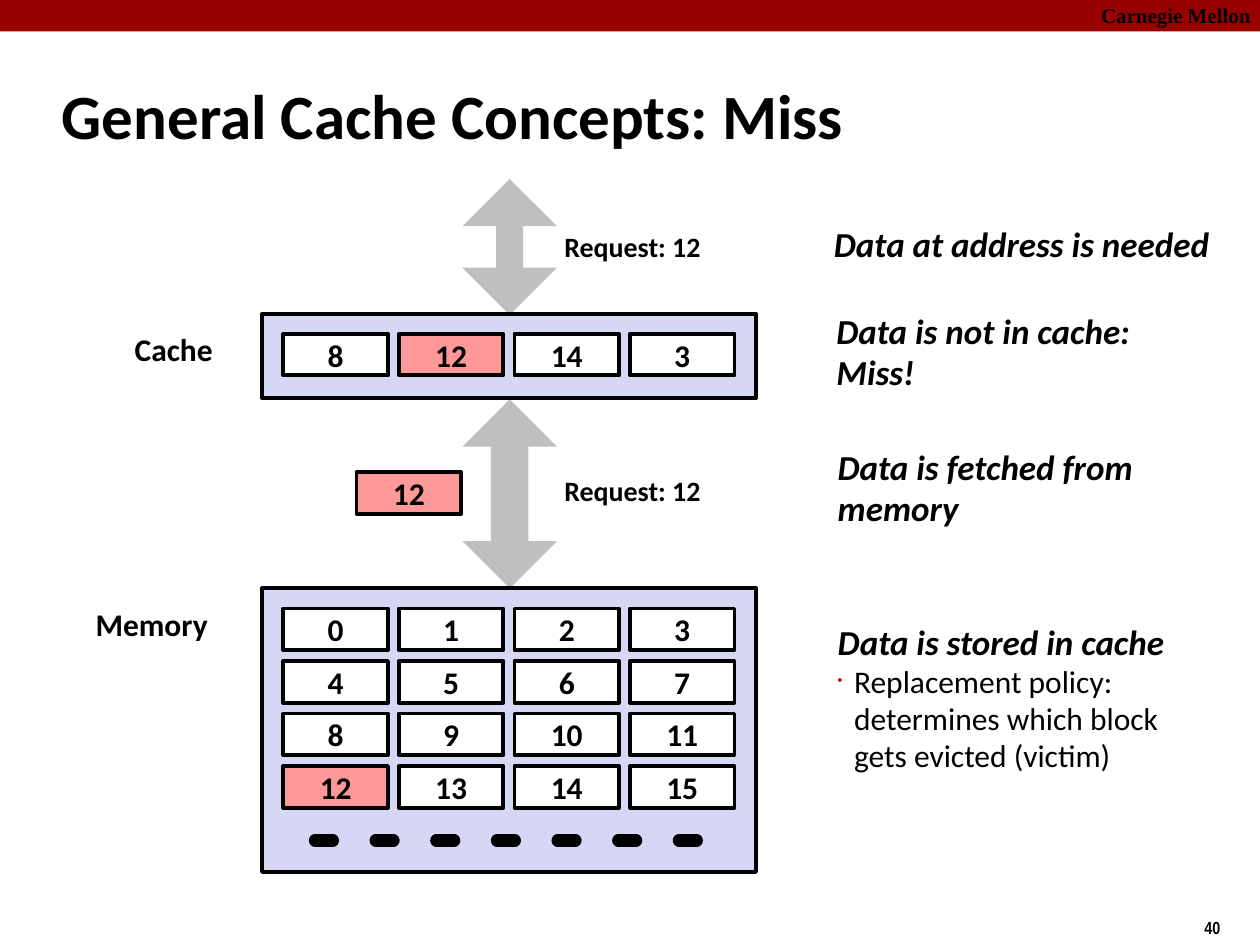
import pptx
import pptx.util
import pptx.dml.color
import pptx.enum.shapes
import pptx.enum.text
import pptx.oxml
import pptx.oxml.ns
from pptx.util import Inches, Pt

SHAPE = pptx.enum.shapes.MSO_SHAPE
ALIGN = pptx.enum.text.PP_ALIGN
ANCHOR = pptx.enum.text.MSO_ANCHOR
BLACK, WHITE, RED, GRAY = "000000", "FFFFFF", "990000", "BFBFBF"
PANEL, TARGET = "D6D6F5", "FF9999"
BLOCK_LEFT, BLOCK_WIDTH, BLOCK_HEIGHT = 2.25, 0.83, 0.33
COLUMN_STEP, ROW_STEP = 2.75 / 3, 1.25 / 3

# Content
TITLE = "General Cache Concepts: Miss"
ARROWS = [(1.42, 1.08, 0.288), (3.17, 1.5, 0.398)]  # top, height, head
PANELS = [(4.67, 2.25), (2.49, 0.67)]  # top, height
GRIDS = [  # top of first row, rows of block numbers
    (4.83, [[0, 1, 2, 3], [4, 5, 6, 7], [8, 9, 10, 11], [12, 13, 14, 15]]),
    (2.65, [[8, 12, 14, 3]]),
]
FETCHED_BLOCK = (2.83, 3.75)
LABELS = [  # text, left, top, width, height, size, alignment
    ("Cache", 0.97, 2.57, 0.82, 0.4, 18, ALIGN.LEFT),
    ("Memory", 0.66, 4.75, 1.09, 0.4, 18, ALIGN.LEFT),
    ("Request: 12", 4.38, 1.77, 1.28, 0.37, 16, ALIGN.CENTER),
    ("Request: 12", 4.38, 3.71, 1.28, 0.37, 16, ALIGN.CENTER),
]
STEPS = [  # text, left, top, width, height
    ("Data at address is needed", 6.52, 1.73, 3.18, 0.43),
    ("Data is not in cache:\nMiss!", 6.54, 2.42, 2.53, 0.76),
    ("Data is fetched from\nmemory", 6.55, 3.5, 2.54, 0.76),
    ("Data is stored in cache", 6.55, 4.89, 2.79, 1.31),
]
POLICY = "Replacement policy:\vdetermines which block\vgets evicted (victim)"


def color(value):
    return pptx.dml.color.RGBColor.from_string(value)


def style(para, size, font="Calibri", bold=True, italic=False):
    for span in para.runs:
        span.font.name, span.font.size = font, Pt(size)
        span.font.bold, span.font.italic = bold, italic
        span.font.color.rgb = color(BLACK)


def add_filled(kind, left, top, width, height, fill, outlined=True):
    shape = page.shapes.add_shape(
        kind, Inches(left), Inches(top), Inches(width), Inches(height))
    shape.shadow.inherit = False
    shape.fill.solid()
    shape.fill.fore_color.rgb = color(fill)
    if outlined:
        shape.line.color.rgb = color(BLACK)
        shape.line.width = Pt(2.25)
    else:
        shape.line.fill.background()
    return shape


def add_block(number, left, top):
    fill = TARGET if number == 12 else WHITE
    block = add_filled(SHAPE.RECTANGLE, left, top, BLOCK_WIDTH, BLOCK_HEIGHT, fill)
    frame = block.text_frame
    frame.text = str(number)
    frame.vertical_anchor = ANCHOR.MIDDLE
    frame.paragraphs[0].alignment = ALIGN.CENTER
    style(frame.paragraphs[0], 18)


def add_text(text, left, top, width, height, size, align=ALIGN.LEFT, **look):
    box = page.shapes.add_textbox(
        Inches(left), Inches(top), Inches(width), Inches(height))
    box.text_frame.word_wrap = False
    box.text_frame.text = text
    for para in box.text_frame.paragraphs:
        para.alignment = align
        style(para, size, **look)
    return box


def add_xml(parent, tag, body=""):
    parent.append(pptx.oxml.parse_xml(
        f'<a:{tag} {pptx.oxml.ns.nsdecls("a")}>{body}</a:{tag.split()[0]}>'))


deck = pptx.Presentation()
deck.slide_width, deck.slide_height = Inches(10), Inches(7.5)
page = deck.slides.add_slide(deck.slide_layouts[5])

# Banner and page number
add_filled(SHAPE.RECTANGLE, 0, 0, 10, 0.25, RED, outlined=False)
add_text("Carnegie Mellon", 8.64, -0.03, 1.43, 0.3, 12, font="Times New Roman")
add_text("40", 9.46, 7.23, 0.75, 0.27, 10, font="Arial Narrow")

# Title
title = page.shapes.title
title.left, title.top = Inches(0.39), Inches(0.49)
title.width, title.height = Inches(8.3), Inches(0.83)
title.text_frame.text = TITLE
title.text_frame.vertical_anchor = ANCHOR.MIDDLE
title.text_frame.paragraphs[0].alignment = ALIGN.LEFT
style(title.text_frame.paragraphs[0], 36)

# Transfer arrows
for top, height, head in ARROWS:
    arrow = add_filled(SHAPE.UP_DOWN_ARROW, 3.67, top, 0.75, height, GRAY, outlined=False)
    arrow.adjustments[0], arrow.adjustments[1] = 0.5, head

# Memory and cache with their blocks
for top, height in PANELS:
    add_filled(SHAPE.RECTANGLE, 2.08, top, 3.92, height, PANEL)
for first_top, rows in GRIDS:
    for row, numbers in enumerate(rows):
        for column, number in enumerate(numbers):
            add_block(number, BLOCK_LEFT + column * COLUMN_STEP,
                      first_top + row * ROW_STEP)
add_block(12, *FETCHED_BLOCK)

# Dashes for the rest of memory
dashes = page.shapes.add_connector(
    pptx.enum.shapes.MSO_CONNECTOR.STRAIGHT,
    Inches(2.5), Inches(6.67), Inches(5.83), Inches(6.67))
dashes.line.color.rgb = color(BLACK)
dashes.line.width = Pt(7)
outline = dashes.line._get_or_add_ln()
outline.set("cap", "rnd")
add_xml(outline, "custDash", '<a:ds d="245000" sp="250000"/>')
add_xml(dashes._element.spPr, "effectLst")

# Labels
for label in LABELS:
    add_text(*label)

# Steps of the miss
for step in STEPS:
    box = add_text(*step, 20, italic=True)
    box.text_frame.vertical_anchor = ANCHOR.MIDDLE
    for para in box.text_frame.paragraphs:
        para.line_spacing = 0.98

# Policy bullet under the last step
policy = box.text_frame.add_paragraph()
policy.text = POLICY
policy.line_spacing = 0.98
properties = policy._p.get_or_add_pPr()
properties.set("marL", str(Inches(0.13)))
properties.set("indent", str(-Inches(0.13)))
add_xml(properties, "buClr", '<a:srgbClr val="C00000"/>')
add_xml(properties, 'buSzPct val="45000"')
add_xml(properties, 'buChar char="•"')
style(policy, 18, bold=False)

deck.save("out.pptx")
